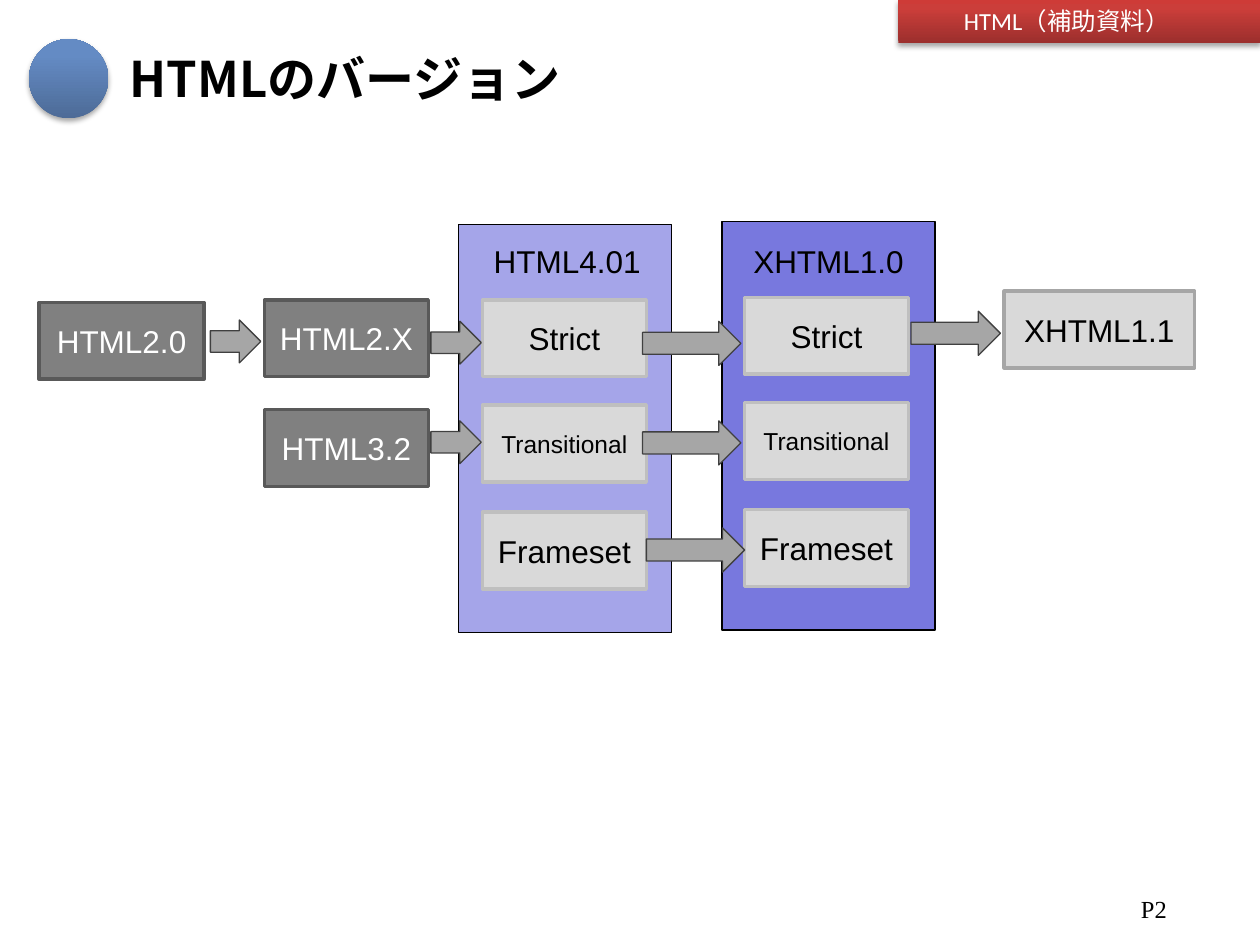
from copy import deepcopy

from lxml import etree
from pptx import Presentation
from pptx import util as u
from pptx.dml.color import RGBColor
from pptx.enum import shapes, text
from pptx.oxml import ns

Inches = u.Inches
SHAPE = shapes.MSO_SHAPE
ANCHOR = text.MSO_ANCHOR
ALIGN = text.PP_ALIGN


def write(shape, words, size=18, font="Arial", color="000000", bold=False,
          align=ALIGN.CENTER, anchor=ANCHOR.MIDDLE, wrap=True):
    frame = shape.text_frame
    frame.word_wrap = wrap
    frame.auto_size = text.MSO_AUTO_SIZE.NONE
    frame.vertical_anchor = anchor
    paragraph = frame.paragraphs[0]
    paragraph.alignment = align
    run = paragraph.add_run()
    run.text = words
    run.font.size = u.Pt(size)
    run.font.name = font
    run.font.bold = bold
    run.font.color.rgb = RGBColor.from_string(color)
    east_asian = etree.SubElement(run.font._element, ns.qn("a:ea"))
    east_asian.set("typeface", "Noto Sans CJK JP")
    return paragraph


def add_block(kind, left, top, width, height, fill, line=None, weight=0.75):
    """Add a shape; a list of (position, colour) stops gives a shadowed gradient."""
    shape = slide.shapes.add_shape(
        kind, Inches(left), Inches(top), Inches(width), Inches(height))
    shape.shadow.inherit = False
    if line:
        shape.line.color.rgb = RGBColor.from_string(line)
        shape.line.width = u.Pt(weight)
    else:
        shape.line.fill.background()
    if isinstance(fill, str):
        shape.fill.solid()
        shape.fill.fore_color.rgb = RGBColor.from_string(fill)
        return shape

    shape.fill.gradient()
    shape.fill.gradient_angle = 90
    stop_list = shape._element.spPr.find(".//" + ns.qn("a:gsLst"))
    stop_list.append(deepcopy(stop_list[-1]))
    for stop, (position, color) in zip(shape.fill.gradient_stops, fill):
        stop.position = position
        stop.color.rgb = RGBColor.from_string(color)
    effects = shape._element.spPr.find(ns.qn("a:effectLst"))
    shadow = etree.SubElement(
        effects, ns.qn("a:outerShdw"), blurRad=str(u.Pt(3.1)),
        dist=str(u.Pt(1.8)), dir="5400000", rotWithShape="0")
    black = etree.SubElement(shadow, ns.qn("a:srgbClr"), val="000000")
    etree.SubElement(black, ns.qn("a:alpha"), val="35000")
    return shape


presentation = Presentation()
presentation.slide_width = Inches(10)
presentation.slide_height = Inches(7.5)
slide = presentation.slides.add_slide(presentation.slide_layouts[5])

# Header banner and title marker
banner = add_block(SHAPE.RECTANGLE, 7.13, 0, 2.87, 0.34,
                   [(0, "9C2F2D"), (0.8, "CB3E3A"), (1, "CE3B37")])
write(banner, "HTML（補助資料）\u3000", size=14, font="Calibri",
      color="FFFFFF", anchor=ANCHOR.TOP)
add_block(SHAPE.OVAL, 0.23, 0.31, 0.63, 0.63,
          [(0, "4D6B97"), (0.8, "648BC4"), (1, "638BC7")])

# Title
title = slide.shapes.title
title.left, title.top = Inches(0.93), Inches(0.33)
title.width, title.height = Inches(7.07), Inches(0.58)
write(title, "HTMLのバージョン", size=28, font="Noto Sans CJK JP", bold=True,
      align=ALIGN.LEFT)

# Page number
page_number = slide.shapes.add_textbox(
    Inches(7.28), Inches(7.05), Inches(2.08), Inches(0.5))
paragraph = write(page_number, "P2", size=14, font="Times New Roman",
                  align=ALIGN.RIGHT, anchor=ANCHOR.TOP)
paragraph.space_before = u.Pt(7)

# Single versions
box_height = 0.61
for name, left, top, width, fill, line, color in [
    ("HTML2.0", 0.31, 2.4, 1.31, "808080", "595959", "FFFFFF"),
    ("HTML2.X", 2.1, 2.38, 1.3, "808080", "595959", "FFFFFF"),
    ("HTML3.2", 2.1, 3.25, 1.3, "808080", "595959", "FFFFFF"),
    ("XHTML1.1", 7.97, 2.31, 1.51, "D9D9D9", "A6A6A6", "000000"),
]:
    box = add_block(SHAPE.RECTANGLE, left, top, width, box_height, fill, line, 2)
    write(box, name, color=color)

# Versions with three document types
document_types = [("Strict", 18, 0.6), ("Transitional", 14, 1.435),
                  ("Frameset", 18, 2.285)]
for name, left, top, fill, label_left, label_width, box_left in [
    ("HTML4.01", 3.64, 1.78, "A5A5E9", 3.82, 1.38, 3.83),
    ("XHTML1.0", 5.73, 1.76, "7878DE", 5.88, 1.41, 5.91),
]:
    add_block(SHAPE.RECTANGLE, left, top, 1.69, 3.24, fill, "000000")
    label = slide.shapes.add_textbox(
        Inches(label_left), Inches(1.87), Inches(label_width), Inches(0.4))
    write(label, name, align=ALIGN.LEFT, anchor=ANCHOR.TOP, wrap=False)
    for document_type, size, offset in document_types:
        box = add_block(SHAPE.RECTANGLE, box_left, top + offset, 1.3, box_height,
                        "D9D9D9", "BFBFBF", 2)
        write(box, document_type, size=size)

# Arrows between versions
for left, top, width, height in [
    (1.67, 2.54, 0.4, 0.34),
    (3.42, 2.55, 0.4, 0.34),
    (3.42, 3.34, 0.4, 0.34),
    (5.1, 2.55, 0.78, 0.35),
    (5.1, 3.34, 0.78, 0.35),
    (5.13, 4.19, 0.78, 0.35),
    (7.23, 2.47, 0.71, 0.35),
]:
    add_block(SHAPE.RIGHT_ARROW, left, top, width, height, "A6A6A6", "404040")

presentation.save("out.pptx")
